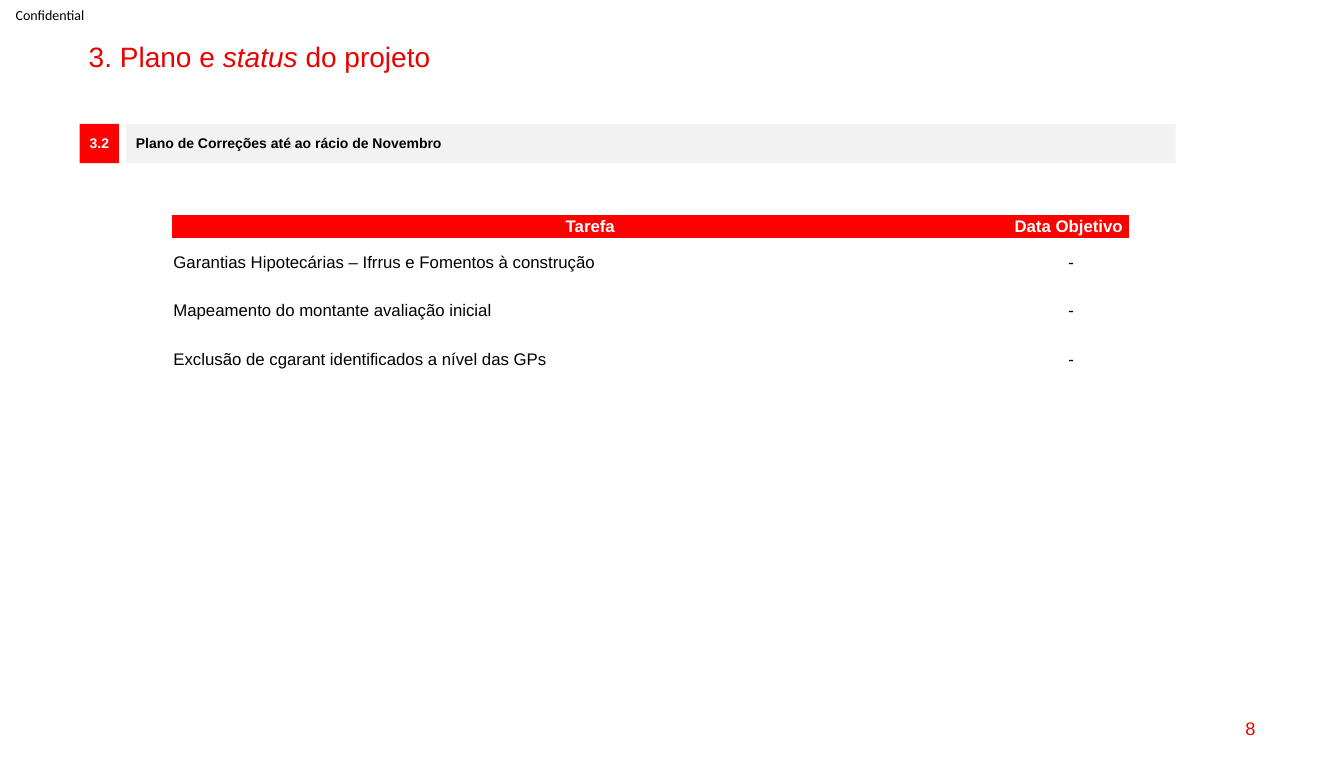
"""Builds the project plan and status slide."""
from pptx import Presentation
from pptx.dml.color import RGBColor
from pptx.enum import shapes, text
from pptx.util import Inches, Pt

RED = RGBColor(0xFF, 0x00, 0x00)
DARK_RED = RGBColor(0xEB, 0x00, 0x00)
LIGHT_GREY = RGBColor(0xF2, 0xF2, 0xF2)
BLACK = RGBColor(0x00, 0x00, 0x00)
WHITE = RGBColor(0xFF, 0xFF, 0xFF)

LEFT, CENTER, RIGHT = text.PP_ALIGN.LEFT, text.PP_ALIGN.CENTER, text.PP_ALIGN.RIGHT
PLAIN_TABLE_STYLE = "{2D5ABB26-0587-4C30-8999-92F81FD0307C}"
TASK_COLUMNS = (8.29, 1.2)
HEADER_HEIGHT, TASK_HEIGHT = 0.23, 0.48
TASKS = (
    ("Tarefa", "Data Objetivo"),
    ("Garantias Hipotecárias – Ifrrus e Fomentos à construção", "-"),
    ("Mapeamento do montante avaliação inicial", "-"),
    ("Exclusão de cgarant identificados a nível das GPs", "-"),
)


def style_paragraph(paragraph, size, color, bold=False, align=LEFT, name="Arial"):
    paragraph.alignment = align
    paragraph.font.size = Pt(size)
    paragraph.font.name = name
    paragraph.font.bold = bold
    paragraph.font.color.rgb = color


def set_title(slide):
    title = slide.shapes.title
    title.left, title.top = Inches(0.78), Inches(0.38)
    title.width, title.height = Inches(11.77), Inches(0.34)
    frame = title.text_frame
    frame.auto_size = text.MSO_AUTO_SIZE.NONE
    frame.vertical_anchor = text.MSO_ANCHOR.TOP
    paragraph = frame.paragraphs[0]
    paragraph.line_spacing = 0.9
    style_paragraph(paragraph, 20, DARK_RED)
    for words, italic in (("3. Plano e ", False), ("status", True), (" do projeto", False)):
        run = paragraph.add_run()
        run.text = words
        run.font.italic = italic


def add_label(slide, words, left, top, width, height, size, color, align=LEFT,
              name="Arial", margins=(0.1, 0.05)):
    box = slide.shapes.add_textbox(Inches(left), Inches(top), Inches(width), Inches(height))
    frame = box.text_frame
    frame.word_wrap = True
    frame.vertical_anchor = text.MSO_ANCHOR.MIDDLE
    frame.margin_left = frame.margin_right = Inches(margins[0])
    frame.margin_top = frame.margin_bottom = Inches(margins[1])
    frame.text = words
    style_paragraph(frame.paragraphs[0], size, color, align=align, name=name)


def add_bar(slide, words, left, width, fill, color, align):
    bar = slide.shapes.add_shape(shapes.MSO_SHAPE.RECTANGLE, Inches(left), Inches(1.23),
                                 Inches(width), Inches(0.39))
    bar.shadow.inherit = False
    bar.fill.solid()
    bar.fill.fore_color.rgb = fill
    bar.line.fill.background()
    frame = bar.text_frame
    frame.vertical_anchor = text.MSO_ANCHOR.MIDDLE
    frame.text = words
    paragraph = frame.paragraphs[0]
    paragraph.line_spacing = 0.9
    style_paragraph(paragraph, 10, color, bold=True, align=align)


def fill_cell(cell, words, is_header, is_date):
    cell.vertical_anchor = text.MSO_ANCHOR.MIDDLE
    cell.margin_left = Inches(0.06 if is_date and not is_header else 0.01)
    cell.margin_right = cell.margin_top = Inches(0.01)
    cell.margin_bottom = Inches(0)
    if is_header:
        cell.fill.solid()
        cell.fill.fore_color.rgb = RED
    else:
        cell.fill.background()
    cell.text = words
    style_paragraph(cell.text_frame.paragraphs[0], 12, WHITE if is_header else BLACK,
                    bold=is_header, align=CENTER if is_header or is_date else LEFT)


def add_task_table(slide):
    height = HEADER_HEIGHT + TASK_HEIGHT * (len(TASKS) - 1)
    frame = slide.shapes.add_table(len(TASKS), len(TASK_COLUMNS), Inches(1.71), Inches(2.13),
                                   Inches(sum(TASK_COLUMNS)), Inches(height))
    table = frame.table
    table.horz_banding = False
    style_id = frame._element.xpath(".//a:tableStyleId")[0]
    style_id.text = PLAIN_TABLE_STYLE
    for column, width in zip(table.columns, TASK_COLUMNS):
        column.width = Inches(width)
    for row_index, task in enumerate(TASKS):
        is_header = row_index == 0
        table.rows[row_index].height = Inches(HEADER_HEIGHT if is_header else TASK_HEIGHT)
        for column_index, words in enumerate(task):
            fill_cell(table.cell(row_index, column_index), words, is_header, column_index == 1)


def main():
    presentation = Presentation()
    presentation.slide_width, presentation.slide_height = Inches(13.33), Inches(7.76)
    slide = presentation.slides.add_slide(presentation.slide_layouts[5])
    add_label(slide, "Confidential", 0, 0, 0.99, 0.29, 10, BLACK, align=CENTER,
              name="Calibri", margins=(0, 0))
    set_title(slide)
    add_label(slide, "8", 9.55, 7.02, 3, 0.41, 13, DARK_RED, align=RIGHT)
    add_bar(slide, "3.2", 0.79, 0.39, RED, WHITE, CENTER)
    add_bar(slide, "Plano de Correções até ao rácio de Novembro", 1.25, 10.41,
            LIGHT_GREY, BLACK, LEFT)
    add_task_table(slide)
    presentation.save("out.pptx")


if __name__ == "__main__":
    main()
